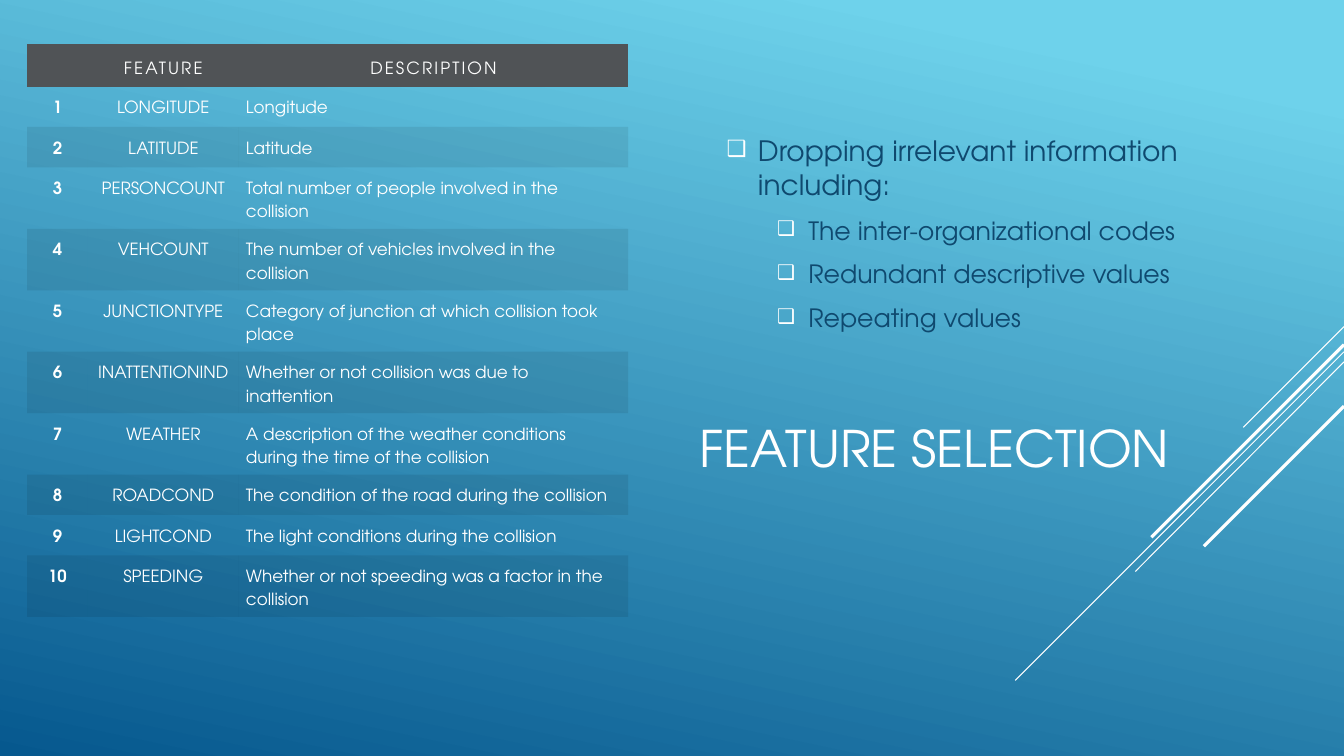
from lxml import etree
from pptx import Presentation
from pptx.dml.color import RGBColor
from pptx.enum.shapes import MSO_CONNECTOR
from pptx.enum.text import MSO_ANCHOR, PP_ALIGN
from pptx.oxml.ns import qn
from pptx.util import Inches, Pt

LEFT, CENTER = PP_ALIGN.LEFT, PP_ALIGN.CENTER
TOP, MIDDLE = MSO_ANCHOR.TOP, MSO_ANCHOR.MIDDLE
STRAIGHT = MSO_CONNECTOR.STRAIGHT

# Content
FONT = "TeX Gyre Adventor"
WHITE, NAVY, GRAY, BLACK = "FFFFFF", "0F496F", "505356", "000000"
BACKGROUND_STOPS = [(0.1, "6ED2EB"), (1, "06588E")]
TITLE = "FEATURE SELECTION"
HEADER = ("", "FEATURE", "DESCRIPTION")
FEATURES = [
    ("LONGITUDE", "Longitude"),
    ("LATITUDE", "Latitude"),
    ("PERSONCOUNT", "Total number of people involved in the collision"),
    ("VEHCOUNT", "The number of vehicles involved in the collision"),
    ("JUNCTIONTYPE", "Category of junction at which collision took place"),
    ("INATTENTIONIND", "Whether or not collision was due to inattention"),
    ("WEATHER", "A description of the weather conditions\nduring the time of the collision"),
    ("ROADCOND", "The condition of the road during the collision"),
    ("LIGHTCOND", "The light conditions during the collision"),
    ("SPEEDING", "Whether or not speeding was a factor in the collision"),
]
TWO_LINE_ROWS = {3, 4, 5, 6, 7, 10}
COLUMN_WIDTHS = (0.6, 1.5, 3.86)
# text, level, size, line pitch in points
BULLETS = [
    ("Dropping irrelevant information including:", 0, 20, 24.3),
    ("The inter-organizational codes", 1, 18, 21.8),
    ("Redundant descriptive values", 1, 18, 21.8),
    ("Repeating values", 1, 18, 21.8),
]
# start height on the right edge, end point, width in points
DIAGONALS = [
    (3.24, 12.33, 4.24, 0.75),
    (3.49, 10.07, 6.75, 0.75),
    (3.59, 11.26, 5.67, 0.75),
    (3.42, 11.42, 5.33, 2.25),
    (4.03, 11.94, 5.42, 2.25),
]
SLIDE_WIDTH, SLIDE_HEIGHT = 13.33, 7.5


def color(value):
    return RGBColor.from_string(value)


def set_font(para, size, value, bold=False):
    font = para.font
    font.name, font.size, font.bold = FONT, Pt(size), bold
    font.color.rgb = color(value)


def add_text_box(page, left, top, width, height, anchor):
    box = page.shapes.add_textbox(Inches(left), Inches(top), Inches(width), Inches(height))
    frame = box.text_frame
    frame.word_wrap = True
    frame.vertical_anchor = anchor
    return frame


def add_bullet(para, level):
    properties = para._p.get_or_add_pPr()
    properties.set("marL", str(Inches((0.31, 0.81)[level])))
    properties.set("indent", str(Inches(-0.31)))
    bullet_color = etree.Element(qn("a:buClr"))
    etree.SubElement(bullet_color, qn("a:srgbClr"), val=WHITE)
    bullet_parts = [
        bullet_color,
        etree.Element(qn("a:buSzPct"), val="80000"),
        etree.Element(qn("a:buFont"), typeface="Wingdings"),
        etree.Element(qn("a:buChar"), char="❑"),
    ]
    bullet_parts[2].set("typeface", FONT)
    defaults = properties.find(qn("a:defRPr"))
    for part in bullet_parts:
        defaults.addprevious(part)


def fill_cell(cell, row):
    if row % 2 and row:
        cell.fill.background()
        return
    cell.fill.solid()
    cell.fill.fore_color.rgb = color(BLACK if row else GRAY)
    if row:
        rgb = cell._tc.tcPr.find(qn("a:solidFill")).find(qn("a:srgbClr"))
        etree.SubElement(rgb, qn("a:alpha"), val="8000")


def add_feature_table(page):
    rows = [HEADER] + [(str(number), *feature) for number, feature in enumerate(FEATURES, 1)]
    heights = [0.42] + [0.61 if row in TWO_LINE_ROWS else 0.4 for row in range(1, len(rows))]
    table = page.shapes.add_table(
        len(rows), len(HEADER), Inches(0.27), Inches(0.44),
        Inches(sum(COLUMN_WIDTHS)), Inches(sum(heights))).table
    table.first_row = table.horz_banding = False
    # Plain style without grid lines
    style = table._tbl.tblPr.find(qn("a:tableStyleId"))
    style.text = "{2D5ABB26-0587-4C30-8999-92F81FD0307C}"
    for column, width in enumerate(COLUMN_WIDTHS):
        table.columns[column].width = Inches(width)
    for row, texts in enumerate(rows):
        table.rows[row].height = Inches(heights[row])
        for column, text in enumerate(texts):
            cell = table.cell(row, column)
            cell.margin_left = cell.margin_right = Inches(0.07)
            cell.margin_top = cell.margin_bottom = Inches(0.07)
            cell.vertical_anchor = TOP if row else MIDDLE
            cell.text = text
            fill_cell(cell, row)
            for para in cell.text_frame.paragraphs:
                para.alignment = LEFT if row and column == 2 else CENTER
                para.line_spacing = Pt(16.7)
                set_font(para, 12, WHITE, bold=row > 0 and column == 0)
                if row == 0:
                    for span in para.runs:
                        span._r.get_or_add_rPr().set("spc", "150")


def main():
    deck = Presentation()
    deck.slide_width, deck.slide_height = Inches(SLIDE_WIDTH), Inches(SLIDE_HEIGHT)
    page = deck.slides.add_slide(deck.slide_layouts[6])

    # Background
    fill = page.background.fill
    fill.gradient()
    fill.gradient_angle = 360 - 102
    for stop, (position, value) in zip(fill.gradient_stops, BACKGROUND_STOPS):
        stop.position = position
        stop.color.rgb = color(value)

    # Diagonal lines
    for start_y, end_x, end_y, width in DIAGONALS:
        line = page.shapes.add_connector(
            STRAIGHT, Inches(SLIDE_WIDTH), Inches(start_y), Inches(end_x), Inches(end_y))
        line.line.color.rgb = color(WHITE)
        line.line.width = Pt(width)
        etree.SubElement(line._element.spPr, qn("a:effectLst"))

    # Bullet list
    frame = add_text_box(page, 7.11, 0.8, 4.83, 3.91, TOP)
    frame.margin_top = Inches(0.52)
    for index, (text, level, size, pitch) in enumerate(BULLETS):
        para = frame.add_paragraph() if index else frame.paragraphs[0]
        para.text = text
        para.level = level
        para.line_spacing = Pt(pitch)
        para.space_before = Pt(0.2 * size if index else 0)
        para.space_after = Pt(6)
        set_font(para, size, NAVY)
        add_bullet(para, level)

    add_feature_table(page)

    # Title
    para = add_text_box(page, 6.84, 3.61, 9.33, 1.65, MIDDLE).paragraphs[0]
    para.text = TITLE
    set_font(para, 36, WHITE)

    deck.save("out.pptx")


if __name__ == "__main__":
    main()
